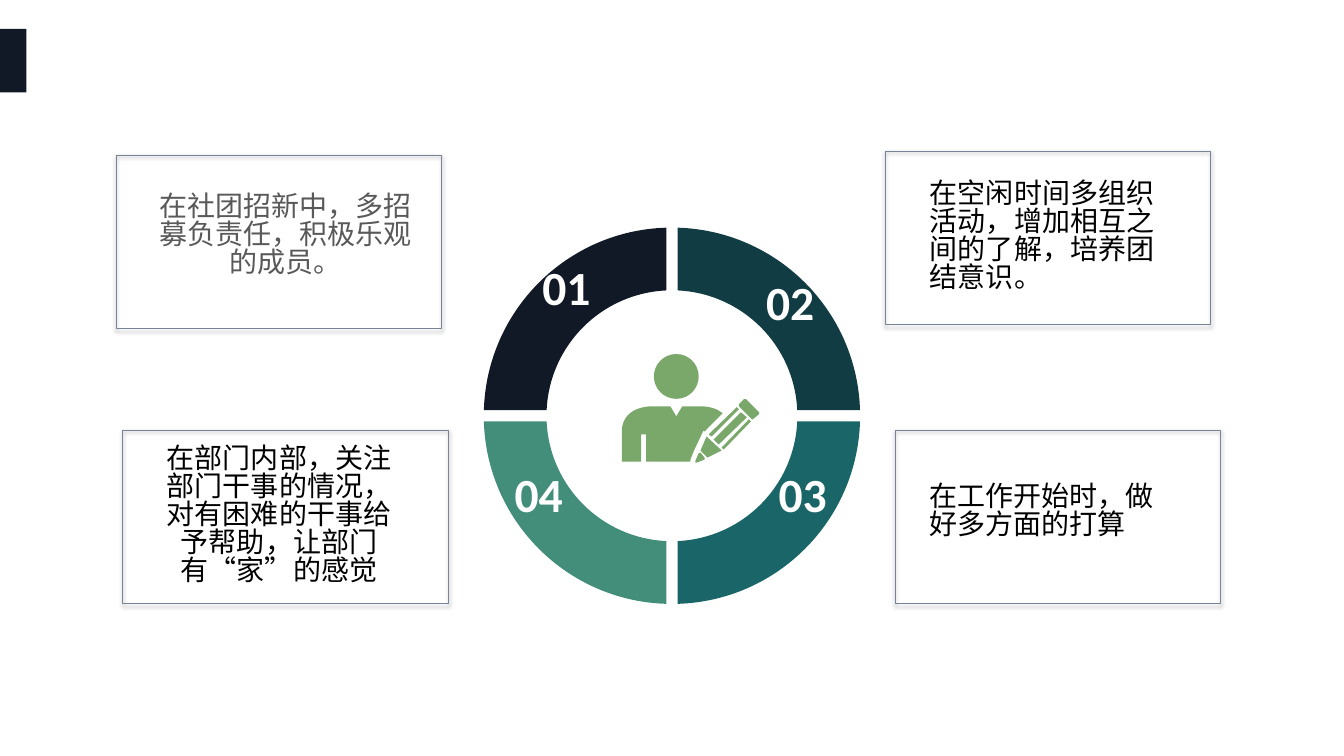
"""Build a slide with a four-part ring, a writer icon and four framed notes."""
from dataclasses import dataclass
from math import asin, cos, pi, sin, tan

from lxml import etree
from pptx import Presentation
from pptx.dml.color import RGBColor
from pptx.enum.shapes import MSO_SHAPE
from pptx.enum.text import MSO_AUTO_SIZE, PP_ALIGN
from pptx.oxml.ns import qn
from pptx.util import Pt

RECT = MSO_SHAPE.RECTANGLE
LEFT, CENTER = PP_ALIGN.LEFT, PP_ALIGN.CENTER
GROW, FIXED = MSO_AUTO_SIZE.SHAPE_TO_FIT_TEXT, MSO_AUTO_SIZE.NONE


@dataclass(frozen=True)
class Theme:
    """Hold the colours, fonts and type sizes."""
    navy: str = "121926"
    ring: tuple = ("1A6568", "428E7B", "121926", "123C44")
    icon: str = "7AA76A"
    frame: str = "778495"
    grey: str = "595959"
    black: str = "000000"
    white: str = "FFFFFF"
    latin: str = "Calibri"
    cjk: str = "Noto Sans CJK SC"
    note_size: int = 20
    number_size: int = 34
    leading: int = 20


THEME = Theme()
RING_CENTER, HEAD_CENTER = (480, 297), (483.1, 268.9)
OUTER, INNER, HALF_GAP, HEAD_RADIUS = 134.4, 89.6, 4, 16
FRAME_SIZE = (232.6, 123.8)
FRAMES = [(83.1, 111.1), (632.2, 108.2), (87.8, 307.6), (639.4, 307.6)]
NOTES = [
    ((113, 138.7, 182.2, 60.5), CENTER, THEME.grey,
     [("在社团招新中，多招募负责任，积极乐观的成员", THEME.cjk), ("。", THEME.latin)]),
    ((116.2, 318.9, 166.3, 100.8), CENTER, THEME.black,
     [("在部门内部，关注部门干事的情况，对有困难的干事给予帮助，让部门有“家”的感觉", THEME.latin)]),
    ((664.2, 129.6, 166.3, 80.6), LEFT, THEME.black,
     [("在空闲时间多组织活动，增加相互之间的了解，培养团结意识。", THEME.latin)]),
    ((663.8, 346, 166.3, 40.3), LEFT, THEME.black,
     [("在工作开始时，做好多方面的打算", THEME.latin)]),
]
NUMBERS = [(354.2, 201.3), (514.1, 212.4), (523, 349.2), (334.4, 349.2)]
NUMBER_SIZE = (100.8, 34.6)
BODY = [
    (503.3, 308.2), (516.2, 295.2), (512.6, 292.3, 507.6, 290.2, 499.7, 290.2),
    (487.4, 290.2), (483.1, 297.4), (478.8, 290.2), (465.8, 290.2),
    (443.5, 290.9, 444.2, 307.4, 444.2, 307.4), (444.2, 329.8), (457.9, 329.8),
    (457.9, 310.3), (461.5, 310.3), (461.5, 329.8), (493.2, 329.8), (493.2, 328.3),
    (495.4, 322.6), (502.6, 307.4),
]
PENCIL = [
    [(515.5, 319.7), (517, 321.1), (536.4, 301), (535, 299.5)],
    [(533.5, 298.1), (529.2, 294.5), (509.8, 313.9), (513.4, 317.5)],
    [(506.2, 310.3), (508.3, 311.8), (527.8, 292.3), (526.3, 290.9)],
    [(500.4, 321.8), (505.4, 326.9), (515.5, 321.8), (504.7, 311.8)],
    [(500.4, 323.3), (499, 324), (496.8, 329), (496.8, 330.5), (497.5, 330.5),
     (503.3, 328.3), (503.3, 326.9)],
    [(542.2, 294.5), (532.8, 285.1), (531.4, 285.1), (527.8, 288.7), (527.8, 290.2),
     (537.1, 299.5), (537.8, 299.5), (542.2, 295.9)],
]


def set_attrs(obj, values):
    """Set each attribute of obj from a dict."""
    for name, value in values.items():
        setattr(obj, name, value)


def paint(sp, color):
    """Give a shape a plain fill without line or shadow."""
    sp.shadow.inherit = False
    sp.fill.solid()
    sp.fill.fore_color.rgb = RGBColor.from_string(color)
    sp.line.fill.background()


def points(segment):
    """Split a flat segment into its points."""
    return [(Pt(x), Pt(y)) for x, y in zip(segment[::2], segment[1::2])]


def add_outline(s, contours, color):
    """Add a freeform whose segments are lines (2 numbers) or curves (6 numbers)."""
    builder = s.shapes.build_freeform(*points(contours[0][0])[0])
    for i, (start, *segments) in enumerate(contours):
        if i:
            builder.move_to(*points(start)[0])
        builder.add_line_segments([pt for seg in segments for pt in points(seg)], close=True)
    sp = builder.convert_to_shape()
    steps = iter(list(sp._element.iter(qn("a:lnTo"))))
    for segment in (seg for contour in contours for seg in contour[1:]):
        first, *rest = [next(steps) for _ in points(segment)]
        if rest:
            first.tag = qn("a:cubicBezTo")
        for step in rest:
            first.append(step[0])
            step.getparent().remove(step)
    paint(sp, color)


def arc(center, radius, start, sweep):
    """Return the start point of an arc and its curve segment."""
    k = 4 / 3 * tan(sweep / 4)
    end = start + sweep
    unit = [(cos(start), sin(start)),
            (cos(start) - k * sin(start), sin(start) + k * cos(start)),
            (cos(end) + k * sin(end), sin(end) - k * cos(end)),
            (cos(end), sin(end))]
    flat = [c + radius * v for pt in unit for c, v in zip(center, pt)]
    return [tuple(flat[:2]), tuple(flat[2:])]


def ring_part(quarter):
    """Return the contour of one ring quarter, trimmed to leave the gap."""
    outer, inner = asin(HALF_GAP / OUTER), asin(HALF_GAP / INNER)
    start, end = quarter * pi / 2, (quarter + 1) * pi / 2
    return (arc(RING_CENTER, OUTER, start + outer, pi / 2 - 2 * outer)
            + arc(RING_CENTER, INNER, end - inner, 2 * inner - pi / 2))


def head():
    """Return the circle of the head as four curves."""
    arcs = [arc(HEAD_CENTER, HEAD_RADIUS, i * pi / 2, pi / 2) for i in range(4)]
    return [arcs[0][0]] + [curve for _, curve in arcs]


def add_frame(s, left, top):
    """Add an unfilled box with a thin line and a soft shadow."""
    sp = s.shapes.add_shape(RECT, *map(Pt, (left, top, *FRAME_SIZE)))
    sp.fill.background()
    sp.line.color.rgb = RGBColor.from_string(THEME.frame)
    sp.line.width = Pt(0.75)
    sp.shadow.inherit = False
    effects = sp._element.spPr.find(qn("a:effectLst"))
    shadow = etree.SubElement(effects, qn("a:outerShdw"), blurRad=str(Pt(3.1)),
                              dist=str(Pt(1.6)), dir="5400000", rotWithShape="0")
    color = etree.SubElement(shadow, qn("a:srgbClr"), val=THEME.black)
    etree.SubElement(color, qn("a:alpha"), val="38000")


def add_text(s, box, runs, color, size, align, margins=(0, 0), bold=False,
             before=0, auto_size=GROW):
    """Add a wrapped one-paragraph text box from (text, font) runs."""
    tf = s.shapes.add_textbox(*map(Pt, box)).text_frame
    mx, my = map(Pt, margins)
    set_attrs(tf, {"word_wrap": True, "auto_size": auto_size, "margin_left": mx,
                   "margin_right": mx, "margin_top": my, "margin_bottom": my})
    p = tf.paragraphs[0]
    set_attrs(p, {"alignment": align, "line_spacing": Pt(THEME.leading),
                  "space_before": Pt(before)})
    for text, font in runs:
        r = p.add_run()
        r.text = text
        set_attrs(r.font, {"name": font, "size": Pt(size), "bold": bold})
        r.font.color.rgb = RGBColor.from_string(color)
        etree.SubElement(r.font._element, qn("a:ea"), typeface=THEME.cjk)


def main():
    """Build and save the slide."""
    prs = Presentation()
    set_attrs(prs, {"slide_width": Pt(960), "slide_height": Pt(540)})
    s = prs.slides.add_slide(prs.slide_layouts[6])
    for quarter, color in enumerate(THEME.ring):
        add_outline(s, [ring_part(quarter)], color)
    add_outline(s, [head(), BODY, *PENCIL], THEME.icon)
    for box, align, color, runs in NOTES:
        add_text(s, box, runs, color, THEME.note_size, align)
    for i, corner in enumerate(NUMBERS, 1):
        add_text(s, (*corner, *NUMBER_SIZE), [(f"{i:02}", THEME.latin)], THEME.white,
                 THEME.number_size, CENTER, margins=(7.2, 3.6), bold=True, before=4,
                 auto_size=FIXED)
    paint(s.shapes.add_shape(RECT, *map(Pt, (0, 20.7, 18.9, 45.4))), THEME.navy)
    for corner in FRAMES:
        add_frame(s, *corner)
    prs.save("out.pptx")


if __name__ == "__main__":
    main()
